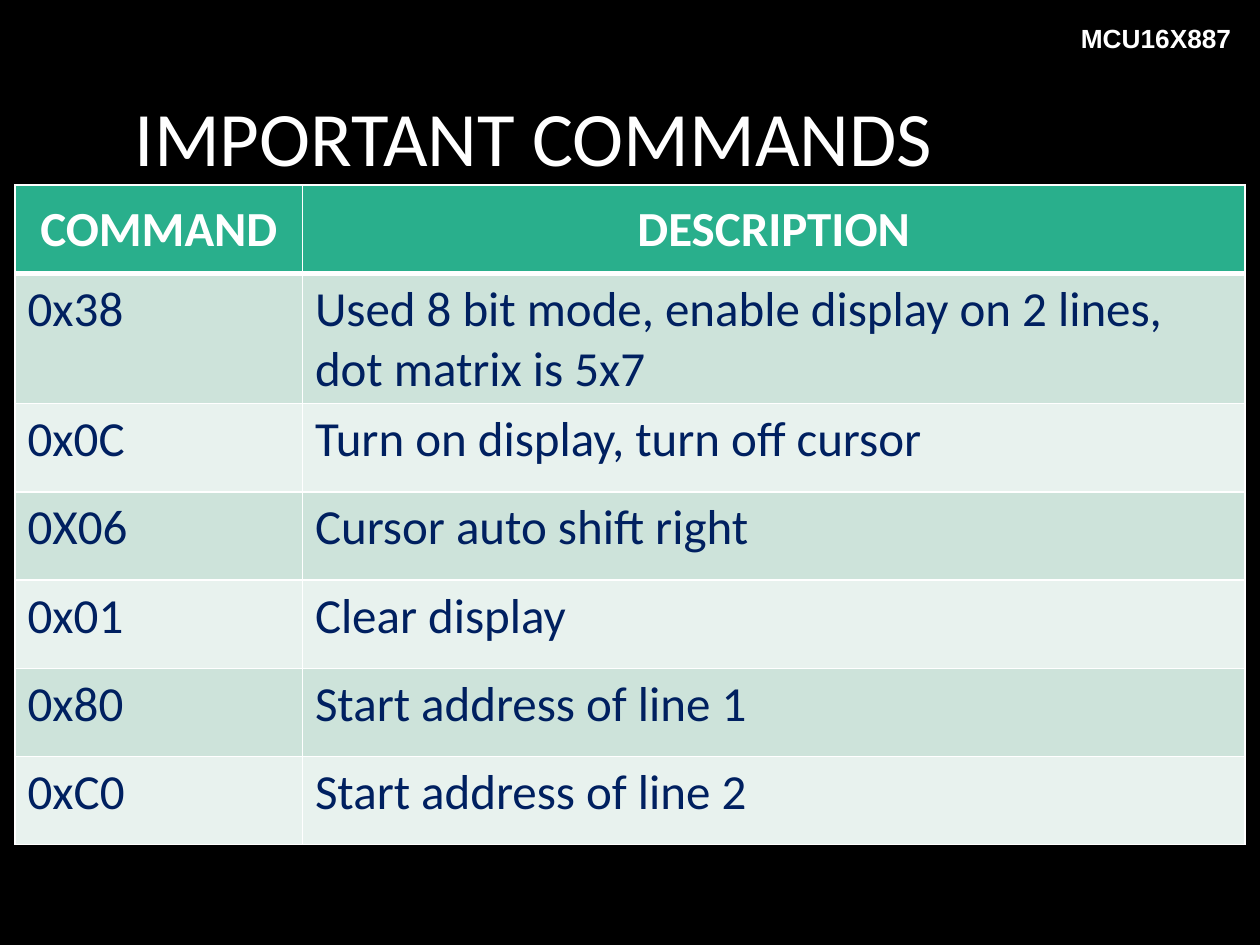
from lxml import etree
from pptx import Presentation
from pptx import util as u
from pptx.dml.color import RGBColor
from pptx.enum import text as t
from pptx.oxml.ns import qn

ROWS = [
    ("COMMAND", "DESCRIPTION"),
    ("0x38", "Used 8 bit mode, enable display on 2 lines, dot matrix is 5x7"),
    ("0x0C", "Turn on display, turn off cursor"),
    ("0X06", "Cursor auto shift right"),
    ("0x01", "Clear display"),
    ("0x80", "Start address of line 1"),
    ("0xC0", "Start address of line 2"),
]


def paint(fill, color):
    fill.solid()
    fill.fore_color.rgb = RGBColor.from_string(color)


def write(frame, words, size=28, font="Calibri", color="FFFFFF", bold=False,
          align=t.PP_ALIGN.LEFT, space=None):
    frame.word_wrap = True
    para = frame.paragraphs[0]
    para.alignment = align
    if space:
        para.line_spacing = space
    run = para.add_run()
    run.text = words
    face = run.font
    face.size, face.name, face.bold = u.Pt(size), font, bold
    face.color.rgb = RGBColor.from_string(color)


def edge(cell, side, width, color="FFFFFF"):
    line = etree.SubElement(cell._tc.get_or_add_tcPr(), qn("a:ln" + side),
                            w=str(u.Pt(width)))
    fill = etree.SubElement(line, qn("a:solidFill"))
    etree.SubElement(fill, qn("a:srgbClr"), val=color)


class Deck:
    """Holds the colours and the current slide."""
    head, ink, bands = "29AF8C", "002060", ("E8F2EE", "CDE3DA")

    def __init__(self):
        self.prs = Presentation()
        self.prs.slide_width, self.prs.slide_height = u.Inches(10), u.Inches(7.5)
        self.slide = self.prs.slides.add_slide(self.prs.slide_layouts[5])
        paint(self.slide.background.fill, "000000")

    def label(self, words, *box):
        shape = self.slide.shapes.add_textbox(*map(u.Inches, box))
        write(shape.text_frame, words, size=15, font="Arial", bold=True,
              align=t.PP_ALIGN.RIGHT)

    def title(self, words, *box):
        shape = self.slide.shapes.title
        shape.left, shape.top, shape.width, shape.height = map(u.Inches, box)
        frame = shape.text_frame
        frame.margin_left = u.Inches(0.38)
        frame.vertical_anchor = t.MSO_ANCHOR.MIDDLE
        write(frame, words, size=44, space=0.9)

    def table(self, rows, left, top, cols, highs):
        box = map(u.Inches, (left, top, sum(cols), sum(highs)))
        grid = self.slide.shapes.add_table(len(rows), len(cols), *box).table
        for col, wide in zip(grid.columns, cols):
            col.width = u.Inches(wide)
        for i, row in enumerate(rows):
            grid.rows[i].height = u.Inches(highs[i])
            for j, words in enumerate(row):
                self.cell(grid.cell(i, j), words, i)

    def cell(self, cell, words, row):
        for side in "LRTB":
            thick = (side, row) in (("B", 0), ("T", 1))
            edge(cell, side, 3 if thick else 1)
        if row == 0:
            paint(cell.fill, self.head)
            cell.vertical_anchor = t.MSO_ANCHOR.MIDDLE
            write(cell.text_frame, words, bold=True, align=t.PP_ALIGN.CENTER)
        else:
            paint(cell.fill, self.bands[row % 2])
            write(cell.text_frame, words, color=self.ink)


def main():
    deck = Deck()
    deck.label("MCU16X887", 7.91, 0.13, 1.96, 0.34)
    deck.title("IMPORTANT COMMANDS", 0.69, 0.4, 8.62, 1.45)
    deck.table(ROWS, 0.12, 1.47, (2.28, 7.48), [0.7, 1.03] + [0.7] * 5)
    deck.prs.save("out.pptx")


if __name__ == "__main__":
    main()
